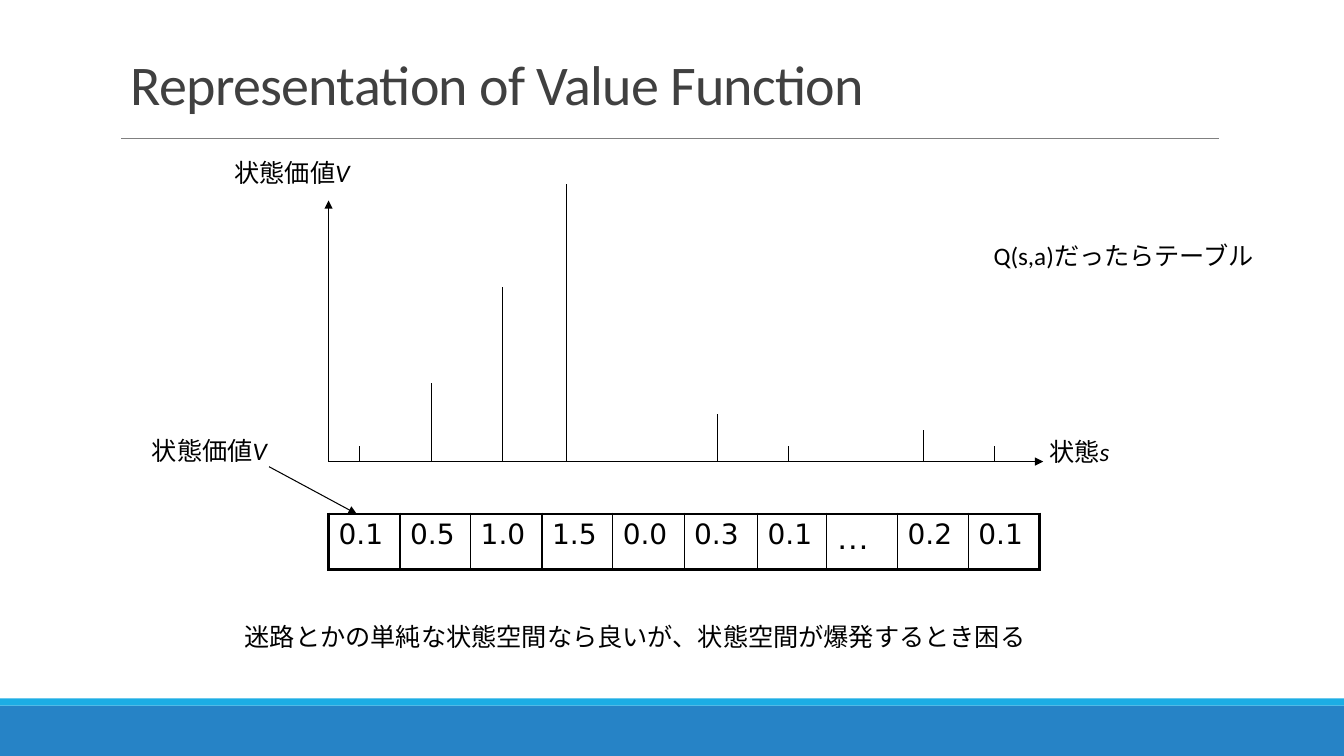
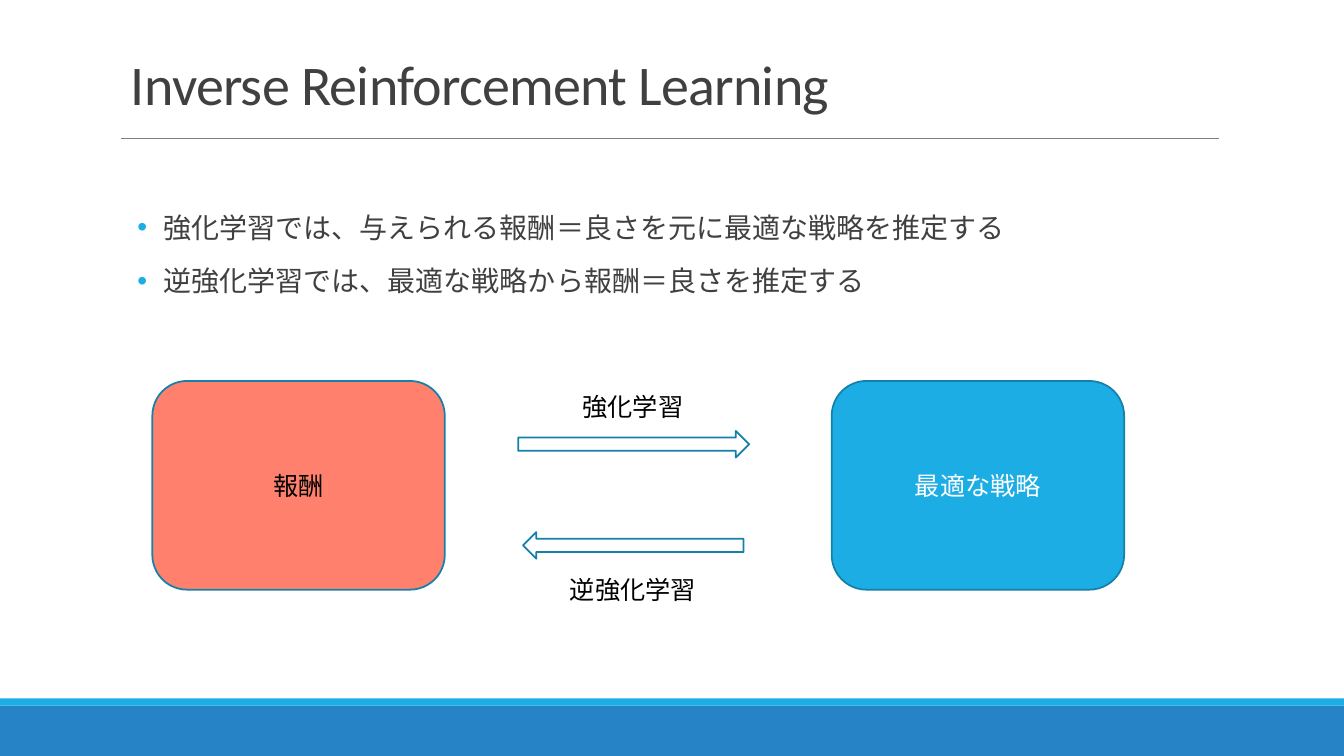
from lxml.etree import SubElement
from pptx import Presentation
from pptx.dml.color import RGBColor
from pptx.enum.lang import MSO_LANGUAGE_ID
from pptx.enum.shapes import MSO_CONNECTOR, MSO_SHAPE
from pptx.enum.text import MSO_ANCHOR, PP_ALIGN
from pptx.oxml import parse_xml
from pptx.oxml.ns import nsdecls, qn
from pptx.util import Cm, Pt

BLACK = RGBColor(0x00, 0x00, 0x00)
WHITE = RGBColor(0xFF, 0xFF, 0xFF)
DARK = RGBColor(0x40, 0x40, 0x40)
GREY = RGBColor(0x80, 0x80, 0x80)
BLUE = RGBColor(0x26, 0x83, 0xC6)
SKY = RGBColor(0x1C, 0xAD, 0xE4)
EDGE = RGBColor(0x15, 0x80, 0xA9)
CORAL = RGBColor(0xFF, 0x81, 0x6D)
LEFT, CENTER = PP_ALIGN.LEFT, PP_ALIGN.CENTER


def write(para, words, color=BLACK, size=18, face="Calibri", slant=False):
    run = para.add_run()
    run.text = words
    font = run.font
    font.name, font.size, font.italic = face, Pt(size), slant
    font.color.rgb = color
    if not words.isascii():
        font.language_id = MSO_LANGUAGE_ID.JAPANESE
    return run


def draw(slide, x1, y1, x2, y2, color=BLACK, width=0.75, arrow=False):
    line = slide.shapes.add_connector(
        MSO_CONNECTOR.STRAIGHT, Cm(x1), Cm(y1), Cm(x2), Cm(y2))
    line.line.color.rgb = color
    line.line.width = Pt(width)
    if arrow:
        SubElement(line.line._get_or_add_ln(), qn("a:tailEnd"), type="triangle")
    SubElement(line._element.spPr, qn("a:effectLst"))


deck = Presentation()
deck.slide_width, deck.slide_height = Cm(33.87), Cm(19.05)

slides = []
for title in ("Representation of Value Function", "Inverse Reinforcement Learning"):
    slide = deck.slides.add_slide(deck.slide_layouts[6])
    for top, high, color in ((17.78, 1.27, BLUE), (17.6, 0.18, SKY)):
        band = slide.shapes.add_shape(
            MSO_SHAPE.RECTANGLE, 0, Cm(top), deck.slide_width, Cm(high))
        band.shadow.inherit = False
        band.fill.solid()
        band.fill.fore_color.rgb = color
        band.line.fill.background()
    draw(slide, 3.05, 3.48, 30.73, 3.48, GREY, 0.5)
    frame = slide.shapes.add_textbox(Cm(3.05), Cm(0.76), Cm(27.94), Cm(2.31)).text_frame
    frame.word_wrap = True
    frame.vertical_anchor = MSO_ANCHOR.BOTTOM
    para = frame.paragraphs[0]
    para.line_spacing = 0.85
    run = write(para, title, DARK, 40)
    run._r.get_or_add_rPr().set("spc", "-50")
    slides.append(slide)
value, inverse = slides

base, start = 11.63, 8.28
draw(value, start, base, 26.29, base, arrow=True)
draw(value, start, base, start, 5.05, arrow=True)
draw(value, 6.78, 11.76, 8.99, 12.95, arrow=True)

stems = ((9.07, 0.38), (10.87, 1.98), (12.67, 4.39), (14.27, 6.99),
         (18.08, 1.19), (19.86, 0.38), (23.27, 0.79), (25.07, 0.38))
for x, high in stems:
    draw(value, x, base, x, base - high)

cells = ("0.1", "0.5", "1.0", "1.5", "0.0", "0.3", "0.1", "…", "0.2", "0.1")
widths = (1.8, 1.78, 1.8, 1.78, 1.8, 1.85, 1.73, 1.8, 1.78, 1.8)
table = value.shapes.add_table(
    1, len(cells), Cm(start), Cm(12.95), Cm(sum(widths)), Cm(1.4)).table
table.first_row = table.horz_banding = False
last = len(cells) - 1
for i, (words, width) in enumerate(zip(cells, widths)):
    table.columns[i].width = Cm(width)
    cell = table.cell(0, i)
    cell.fill.background()
    size, face = (24, "Arial") if words == "…" else (20, "DejaVu Sans")
    write(cell.text_frame.paragraphs[0], words, size=size, face=face)
    sides = (("L", 2.25 if i == 0 else 1), ("R", 2.25 if i == last else 1),
             ("T", 2.25), ("B", 2.25))
    for spot, (side, thick) in enumerate(sides):
        cell._tc.get_or_add_tcPr().insert(spot, parse_xml(
            f'<a:ln{side} {nsdecls("a")} w="{Pt(thick)}"><a:solidFill>'
            f'<a:srgbClr val="{BLACK}"/></a:solidFill></a:ln{side}>'))

labels = (
    (value, 3.58, 10.85, 3.81, LEFT, "状態価値", "V"),
    (value, 26.19, 10.87, 2.4, LEFT, "状態", "s"),
    (value, 5.66, 3.84, 3.81, LEFT, "状態価値", "V"),
    (value, 24.79, 5.94, 7.72, LEFT, "Q(s,a)だったらテーブル", ""),
    (value, 5.49, 15.54, 21.03, CENTER,
     "迷路とかの単純な状態空間なら良いが、状態空間が爆発するとき困る", ""),
    (inverse, 13.45, 9.73, 5, CENTER, "強化学習", ""),
    (inverse, 13.45, 14.35, 5, CENTER, "逆強化学習", ""),
)
for slide, x, y, width, align, words, sign in labels:
    frame = slide.shapes.add_textbox(Cm(x), Cm(y), Cm(width), Cm(1.02)).text_frame
    frame.word_wrap = True
    para = frame.paragraphs[0]
    para.alignment = align
    write(para, words)
    if sign:
        write(para, sign, slant=True)

frame = inverse.shapes.add_textbox(Cm(3.05), Cm(5.18), Cm(27.94), Cm(2.6)).text_frame
frame.word_wrap = True
frame.margin_left = frame.margin_right = 0
points = ("強化学習では、与えられる報酬＝良さを元に最適な戦略を推定する",
          "逆強化学習では、最適な戦略から報酬＝良さを推定する")
for i, words in enumerate(points):
    para = frame.add_paragraph() if i else frame.paragraphs[0]
    props = para._p.get_or_add_pPr()
    props.set("marL", str(Cm(1.07)))
    props.set("indent", str(Cm(-0.66)))
    SubElement(SubElement(props, qn("a:buClr")), qn("a:srgbClr"), val=str(SKY))
    SubElement(props, qn("a:buFont"), typeface="Arial")
    SubElement(props, qn("a:buChar"), char="•")
    if i:
        para.space_before = Pt(14)
    write(para, words, DARK, 20)

blocks = (
    (MSO_SHAPE.ROUNDED_RECTANGLE, 20.96, 9.6, 7.37, 5.26, SKY, "最適な戦略", WHITE),
    (MSO_SHAPE.ROUNDED_RECTANGLE, 3.84, 9.6, 7.37, 5.26, CORAL, "報酬", BLACK),
    (MSO_SHAPE.RIGHT_ARROW, 13.06, 10.86, 5.82, 0.67, WHITE, "", BLACK),
    (MSO_SHAPE.LEFT_ARROW, 13.18, 13.41, 5.56, 0.67, WHITE, "", BLACK),
)
for kind, x, y, width, high, color, words, ink in blocks:
    block = inverse.shapes.add_shape(kind, Cm(x), Cm(y), Cm(width), Cm(high))
    block.shadow.inherit = False
    block.fill.solid()
    block.fill.fore_color.rgb = color
    block.line.color.rgb = EDGE
    block.line.width = Pt(1.25)
    if words:
        block.text_frame.vertical_anchor = MSO_ANCHOR.MIDDLE
        para = block.text_frame.paragraphs[0]
        para.alignment = CENTER
        write(para, words, ink)

deck.save("out.pptx")
